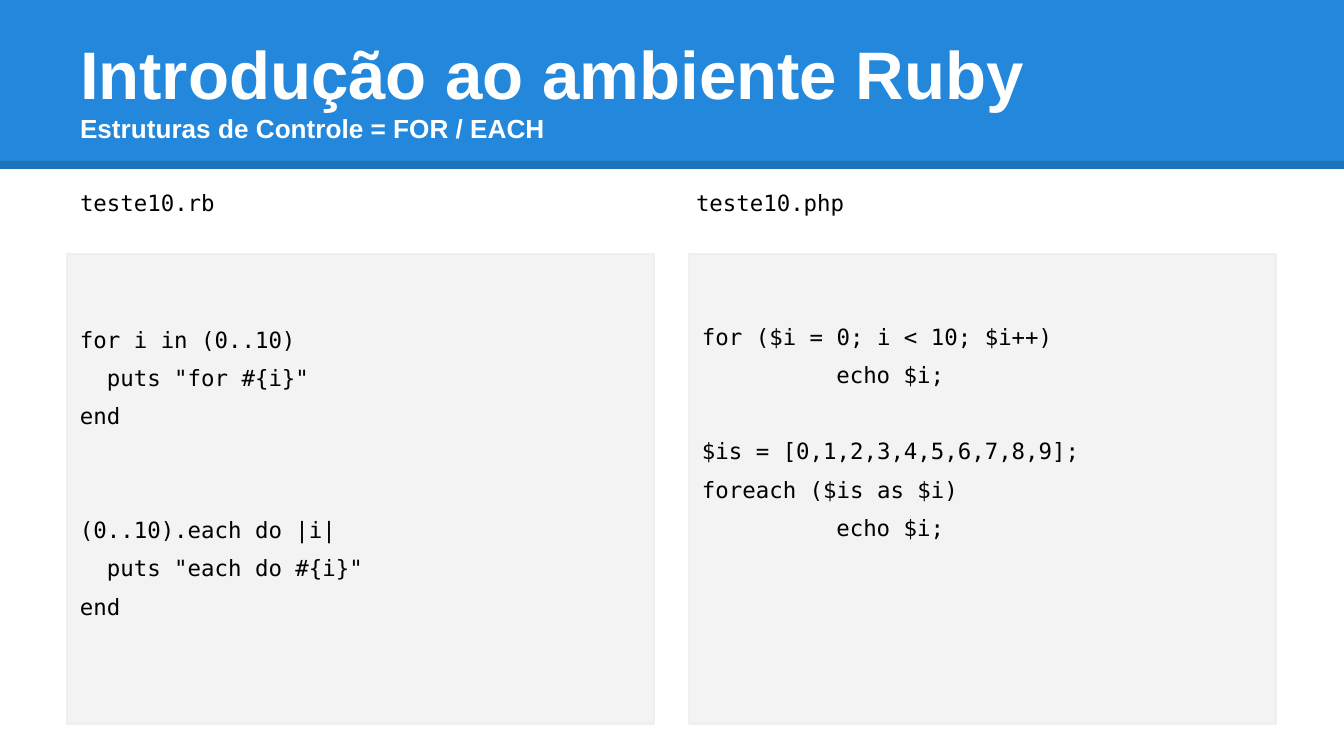
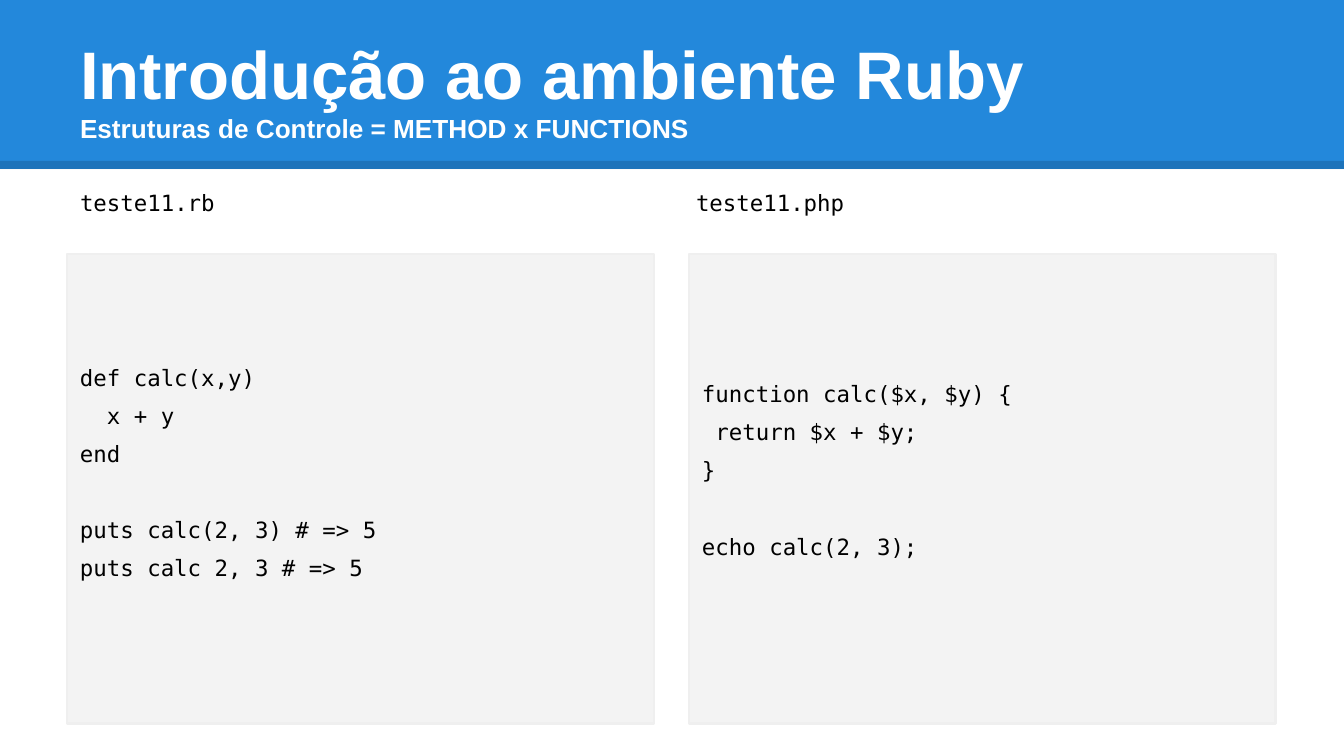
from lxml import etree
from pptx import Presentation
from pptx import util as u
from pptx.dml.color import RGBColor
from pptx.enum import shapes, text
from pptx.oxml.ns import qn

COLORS = {"band": "2388DB", "rule": "000000", "title": "FFFFFF",
          "code": "000000", "panel": "F3F3F3", "edge": "EFEFEF"}
SANS, MONO = "Arial", "DejaVu Sans Mono"
W, H = 1344, 756
PAD = 13        # text inset
ROW = 38        # height of one code line with its spacing
ROW_PT = 20.4   # the same in points
TITLE_BOX = (67, 31, 1210, 126)
LABEL_BOXES = [(67, 176, 587, 547), (683, 176, 587, 547)]
PANEL_BOXES = [(67, 254, 587, 470), (689, 254, 587, 470)]


def px(n):
    """Turn pixels into EMU."""
    return u.Emu(round(n * 914400 / 134.4))


def rgb(name):
    """Look up a palette colour."""
    return RGBColor.from_string(COLORS[name])


def place(sp, box):
    """Move a shape to a pixel box."""
    sp.left, sp.top, sp.width, sp.height = map(px, box)


def set_frame(tf, anchor, top=PAD, bottom=PAD):
    """Set wrapping, anchor and insets of a text frame."""
    tf.word_wrap = True
    tf.auto_size = text.MSO_AUTO_SIZE.NONE
    tf.vertical_anchor = anchor
    tf.margin_left = tf.margin_right = px(PAD)
    tf.margin_top, tf.margin_bottom = px(top), px(bottom)


def add_run(p, content, font, size, color, bold=False):
    """Append one formatted run."""
    r = p.add_run()
    r.text = content
    r.font.name, r.font.size, r.font.bold = font, u.Pt(size), bold
    r.font.color.rgb = rgb(color)


def add_header_band(s, layout, box):
    """Draw the header band and its lower rule, shared through the layout."""
    x, y, w, h = box
    band = s.shapes.add_shape(shapes.MSO_SHAPE.RECTANGLE, *map(px, box))
    band.shadow.inherit = False
    band.fill.solid()
    band.fill.fore_color.rgb = rgb("band")
    band.line.fill.background()
    rule_y = px(y + h - 4)
    rule = s.shapes.add_connector(shapes.MSO_CONNECTOR.STRAIGHT,
                                  px(x), rule_y, px(x + w), rule_y)
    rule.line.width = u.Pt(4.5)
    rule.line.color.rgb = rgb("rule")
    clr = rule.element.spPr.find(".//" + qn("a:srgbClr"))
    etree.SubElement(clr, qn("a:alpha")).set("val", "15000")
    etree.SubElement(rule.element.spPr, qn("a:effectLst"))
    for i, part in enumerate((band, rule)):
        part.element.xpath(".//p:cNvPr")[0].set("id", str(100 + i))
        layout.shapes.element.insert(2 + i, part.element)


def fill_title(sp, box, title, subtitle):
    """Write the title with its subtitle on a second line."""
    place(sp, box)
    tf = sp.text_frame
    set_frame(tf, text.MSO_ANCHOR.BOTTOM)
    p = tf.paragraphs[0]
    p.alignment = text.PP_ALIGN.LEFT
    add_run(p, title, SANS, 36, "title", True)
    p.add_line_break()
    add_run(p, subtitle, SANS, 14, "title", True)


def fill_label(sp, box, name):
    """Write a file name without bullet in a body placeholder."""
    place(sp, box)
    tf = sp.text_frame
    set_frame(tf, text.MSO_ANCHOR.TOP)
    p = tf.paragraphs[0]
    p.space_before = u.Pt(0)
    pPr = p._p.get_or_add_pPr()
    pPr.set("marL", "0")
    pPr.set("indent", "0")
    etree.SubElement(pPr, qn("a:buNone"))
    add_run(p, name, MONO, 12, "code")


def add_code_panel(s, box, blocks, before, after, gap):
    """Draw a panel of code blocks; before, after and gap count empty rows."""
    sp = s.shapes.add_shape(shapes.MSO_SHAPE.RECTANGLE, *map(px, box))
    sp.shadow.inherit = False
    sp.fill.solid()
    sp.fill.fore_color.rgb = rgb("panel")
    sp.line.color.rgb = rgb("edge")
    sp.line.width = u.Pt(1.5)
    tf = sp.text_frame
    set_frame(tf, text.MSO_ANCHOR.MIDDLE, PAD + before * ROW, PAD + after * ROW)
    for b, block in enumerate(blocks):
        for i, line in enumerate(block):
            p = tf.add_paragraph() if b or i else tf.paragraphs[0]
            p.alignment = text.PP_ALIGN.LEFT
            p.space_before = u.Pt(6 + (gap * ROW_PT if b and not i else 0))
            if line.startswith("\t"):
                tabs = etree.SubElement(p._p.get_or_add_pPr(), qn("a:tabLst"))
                etree.SubElement(tabs, qn("a:tab"), pos=str(u.Inches(1)), algn="l")
            add_run(p, line, MONO, 12, "code")


def add_comparison(prs, layout, subtitle, files, panels):
    """Add a slide that sets two code listings side by side."""
    s = prs.slides.add_slide(layout)
    title, *labels = s.placeholders
    fill_title(title, TITLE_BOX, "Introdução ao ambiente Ruby", subtitle)
    for sp, box, name in zip(labels, LABEL_BOXES, files):
        fill_label(sp, box, name)
    for box, panel in zip(PANEL_BOXES, panels):
        add_code_panel(s, box, **panel)
    return s


SLIDES = [
    ("Estruturas de Controle = FOR / EACH", ("teste10.rb", "teste10.php"), [
        dict(before=0, after=0.85, gap=2, blocks=[
            ["for i in (0..10)", '  puts "for #{i}"', "end"],
            ["(0..10).each do |i|", '  puts "each do #{i}"', "end"]]),
        dict(before=1, after=4, gap=1, blocks=[
            ["for ($i = 0; i < 10; $i++)", "\techo $i;"],
            ["$is = [0,1,2,3,4,5,6,7,8,9];", "foreach ($is as $i)",
             "\techo $i;"]])]),
    ("Estruturas de Controle = METHOD x FUNCTIONS",
     ("teste11.rb", "teste11.php"), [
         dict(before=0, after=0.85, gap=1, blocks=[
             ["def calc(x,y)", "  x + y", "end"],
             ["puts calc(2, 3) # => 5", "puts calc 2, 3 # => 5"]]),
         dict(before=1, after=2, gap=1, blocks=[
             ["function calc($x, $y) {", " return $x + $y;", "}"],
             ["echo calc(2, 3);"]])]),
]

prs = Presentation()
prs.slide_width, prs.slide_height = px(W), px(H)
layout = prs.slide_layouts.get_by_name("Two Content")
made = [add_comparison(prs, layout, *content) for content in SLIDES]
add_header_band(made[0], layout, (0, 0, W, 169))
prs.save("out.pptx")
